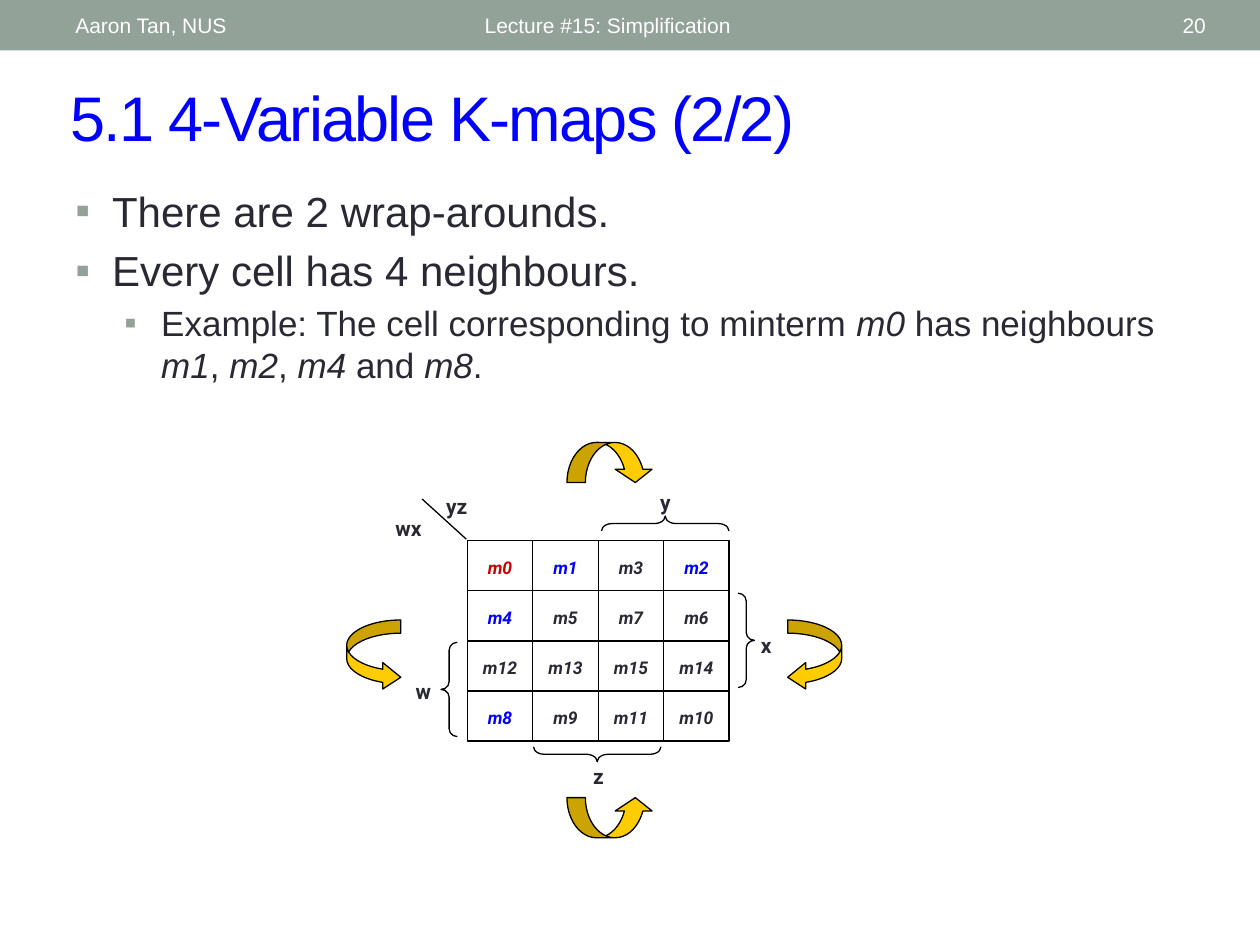
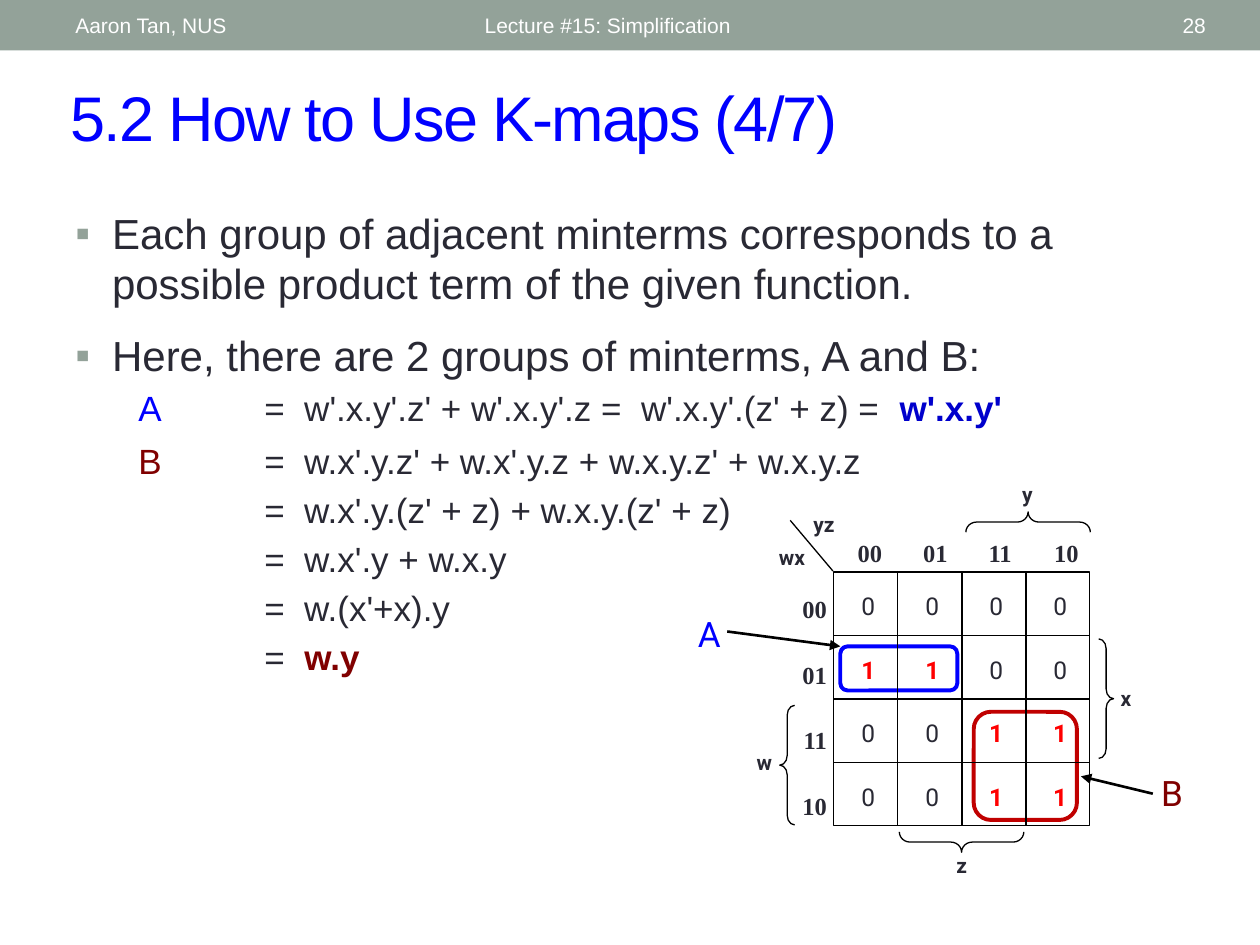
import pptx
import pptx.util
import pptx.dml.color
import pptx.enum.shapes
import pptx.enum.text
import pptx.oxml
import pptx.oxml.ns

Cm = pptx.util.Cm
Pt = pptx.util.Pt
RGB = pptx.dml.color.RGBColor
SHAPE = pptx.enum.shapes.MSO_SHAPE
ALIGN = pptx.enum.text.PP_ALIGN
MIDDLE = pptx.enum.text.MSO_ANCHOR.MIDDLE
qn = pptx.oxml.ns.qn

# Colours
SAGE = RGB(0x93, 0xA2, 0x99)
WHITE = RGB(0xFF, 0xFF, 0xFF)
BLACK = RGB(0, 0, 0)
INK = RGB(0x29, 0x29, 0x34)
BLUE = RGB(0, 0, 0xFF)
DEEP_BLUE = RGB(0, 0, 0xCC)
MAROON = RGB(0x80, 0, 0)
CRIMSON = RGB(0xC0, 0, 0)
DARK_RED = RGB(0xCC, 0, 0)
RED = RGB(0xFF, 0, 0)
GOLD = RGB(0xFF, 0xCC, 0)

# Text formats
TITLE = dict(name="Arial", size=Pt(36), color=BLUE)
HEADER = dict(name="Arial", size=Pt(12), color=WHITE)
BODY = dict(name="Arial", size=Pt(24), color=INK)
SUB = dict(BODY, size=Pt(20))
ITALIC = dict(SUB, italic=True)
LABEL = dict(name="Roboto", size=Pt(12), color=INK, bold=True)
MINTERM = dict(LABEL, size=Pt(10), italic=True)
ZERO = dict(name="Roboto", size=Pt(14), color=INK)
ONE = dict(ZERO, color=RED, bold=True)
CODE = dict(name="Times New Roman", size=Pt(14), color=INK, bold=True)
GROUP = dict(name="Roboto", size=Pt(20))


def add_xml(parent, tag, **attrs):
    """Append an empty drawing element and return it."""
    el = pptx.oxml.parse_xml(f"<a:{tag} {pptx.oxml.ns.nsdecls('a')}/>")
    for key, value in attrs.items():
        el.set(key, str(value))
    parent.append(el)
    return el


def add_runs(p, runs):
    for text, fmt in runs:
        r = p.add_run()
        r.text = text
        for key, value in fmt.items():
            if key == "color":
                r.font.color.rgb = value
            else:
                setattr(r.font, key, value)


def add_text(s, box, *paragraphs, anchor=None, **p_format):
    """Text box with one list of (text, format) runs per paragraph."""
    sp = s.shapes.add_textbox(*map(Cm, box))
    tf = sp.text_frame
    tf.word_wrap = True
    if anchor is not None:
        tf.vertical_anchor = anchor
    for i, runs in enumerate(paragraphs):
        p = tf.paragraphs[0] if i == 0 else tf.add_paragraph()
        for key, value in p_format.items():
            setattr(p, key, value)
        add_runs(p, runs)
    return tf


def add_label(s, box, text, fmt):
    add_text(s, box, [(text, fmt)], alignment=ALIGN.CENTER)


def add_shape(s, kind, box, fill=None, line=BLACK, width=0.75,
              adj=(), rotation=0, flip=None):
    sp = s.shapes.add_shape(kind, *map(Cm, box))
    sp.shadow.inherit = False
    sp.rotation = rotation
    for i, value in enumerate(adj):
        sp.adjustments[i] = value
    if fill is None:
        sp.fill.background()
    else:
        sp.fill.solid()
        sp.fill.fore_color.rgb = fill
    if line is None:
        sp.line.fill.background()
    else:
        sp.line.color.rgb = line
        sp.line.width = Pt(width)
    if flip:
        sp._element.spPr.find(qn("a:xfrm")).set(flip, "1")


def add_line(s, x1, y1, x2, y2, width=0.75, arrow=False):
    c = s.shapes.add_connector(pptx.enum.shapes.MSO_CONNECTOR.STRAIGHT,
                               Cm(x1), Cm(y1), Cm(x2), Cm(y2))
    c.line.color.rgb = BLACK
    c.line.width = Pt(width)
    if arrow:
        add_xml(c.line._get_or_add_ln(), "tailEnd", type="triangle")
    add_xml(c._element.spPr, "effectLst")


def add_frame(prs, title, number):
    """New slide with the header band, its three texts and the title."""
    s = prs.slides.add_slide(prs.slide_layouts[6])
    add_shape(s, SHAPE.RECTANGLE, (0, 0, 25.4, 1.02), fill=SAGE, line=None)
    for left, width, text, align in (
            (1.27, 8.05, "Aaron Tan, NUS", ALIGN.LEFT),
            (9.52, 11.43, "Lecture #15: Simplification", ALIGN.LEFT),
            (22.15, 2.41, number, ALIGN.RIGHT)):
        add_text(s, (left, 0.05, width, 0.91), [(text, HEADER)],
                 anchor=MIDDLE, alignment=align)
    tf = add_text(s, (1.17, 1.45, 23.04, 1.78), [(title, TITLE)],
                  anchor=MIDDLE)
    tf.paragraphs[0].runs[0].font._element.set("spc", "-100")
    return s


def add_body(s, box, items):
    """Body text; each item is (margin, indent, space before, bullet, runs)."""
    tf = add_text(s, box, *[item[-1] for item in items])
    for p, (margin, indent, before, bullet, _) in zip(tf.paragraphs, items):
        p.space_before = Pt(before)
        pPr = p._p.get_or_add_pPr()
        pPr.set("marL", str(Cm(margin)))
        pPr.set("indent", str(Cm(indent)))
        if bullet:
            add_xml(add_xml(pPr, "buClr"), "srgbClr", val=SAGE)
            add_xml(pPr, "buFont", typeface="Arial")
            add_xml(pPr, "buChar", char="▪")
        else:
            add_xml(pPr, "buNone")


def bullet(before, *runs):
    return 0.74, -0.74, before, True, runs


def equation(before, *runs):
    return 3.81, -2.54, before, False, runs


def add_grid(s, left, top, cell_w, cell_h, rows, offset, text_h):
    """Ruled 4 by 4 map; rows hold (text, format) per cell."""
    n = len(rows)
    right, bottom = left + n * cell_w, top + n * cell_h
    add_shape(s, SHAPE.RECTANGLE, (left, top, n * cell_w, n * cell_h))
    for i in range(1, n):
        x, y = left + i * cell_w, top + i * cell_h
        add_line(s, left, y, right, y)
        add_line(s, x, top, x, bottom)
    dx, dy = offset
    for i, row in enumerate(rows):
        for j, (text, fmt) in enumerate(row):
            box = left + j * cell_w + dx, top + i * cell_h + dy, cell_w, text_h
            add_label(s, box, text, fmt)


def add_variables(s, braces, corner, wx_box, yz_box):
    """Braces named w, x, y, z, and the axis names on the corner line."""
    turns = {"w": (0, None), "x": (0, "flipH"),
             "y": (90, None), "z": (270, None)}
    for name, (box, adj, label_box) in braces.items():
        rotation, flip = turns[name]
        add_shape(s, SHAPE.LEFT_BRACE, box, adj=(adj, 0.5),
                  rotation=rotation, flip=flip)
        add_label(s, label_box, name, LABEL)
    add_line(s, *corner)
    add_label(s, wx_box, "wx", LABEL)
    add_label(s, yz_box, "yz", LABEL)


def build_wraparounds(prs):
    s = add_frame(prs, "5.1 4-Variable K-maps (2/2)", "20")
    example = [("Example: The cell corresponding to minterm ", SUB),
               ("m0", ITALIC), (" has neighbours ", SUB), ("m1", ITALIC),
               (", ", SUB), ("m2", ITALIC), (", ", SUB), ("m4", ITALIC),
               (" and ", SUB), ("m8", ITALIC), (".", SUB)]
    add_body(s, (1.27, 3.61, 22.86, 4.98), [
        bullet(5, ("There are 2 wrap-arounds.", BODY)),
        bullet(5, ("Every cell has 4 neighbours.", BODY)),
        (1.73, -0.74, 4, True, example)])

    # Map of minterm numbers, m0 and its neighbours coloured
    colours = {0: DARK_RED, 1: BLUE, 2: BLUE, 4: BLUE, 8: BLUE}
    gray = (0, 1, 3, 2)
    rows = [[(f"m{4 * i + j}", dict(MINTERM, color=colours.get(4 * i + j, INK)))
             for j in gray] for i in gray]
    add_grid(s, 9.42, 10.9, 1.32, 1.01, rows, (0, 0.2), 0.81)
    add_variables(s, {
        "w": ((8.89, 12.95, 0.33, 1.9), 0.475, (8.05, 13.56, 0.97, 0.81)),
        "x": ((14.88, 11.96, 0.33, 1.9), 0.475, (14.96, 12.62, 0.97, 0.81)),
        "y": ((13.26, 9.27, 0.3, 2.57), 0.72, (12.93, 9.75, 0.97, 0.64)),
        "z": ((11.89, 13.92, 0.3, 2.57), 0.73, (11.58, 15.27, 0.97, 0.61)),
    }, (9.4, 10.87, 8.51, 10.06), (7.42, 10.26, 1.63, 0.74),
        (8.64, 9.83, 1.14, 0.64))

    # Wrap-around arrows
    side, over = (0.244, 0.488, 0.333), (0.459, 0.918, 0.333)
    for kind, box, adj, flip in (
            (SHAPE.CURVED_RIGHT_ARROW, (6.99, 12.5, 1.09, 1.42), side, None),
            (SHAPE.CURVED_RIGHT_ARROW, (15.88, 12.5, 1.09, 1.42), side, "flipH"),
            (SHAPE.CURVED_UP_ARROW, (11.43, 16.08, 1.75, 0.81), over, None),
            (SHAPE.CURVED_UP_ARROW, (11.43, 8.92, 1.75, 0.81), over, "flipV")):
        add_shape(s, kind, box, fill=GOLD, adj=adj, flip=flip)


def build_groups(prs):
    s = add_frame(prs, "5.2 How to Use K-maps (4/7)", "28")
    add_body(s, (1.27, 4.06, 22.86, 10.95), [
        bullet(5, ("Each group of adjacent minterms corresponds to a "
                   "possible product term of the given function.", BODY)),
        bullet(12, ("Here, there are 2 groups of minterms, A and B:", BODY)),
        equation(4, ("A", dict(SUB, color=BLUE)),
                 ("\t=  w'.x.y'.z' + w'.x.y'.z =  w'.x.y'.(z' + z) =  ", SUB),
                 ("w'.x.y'", dict(SUB, color=DEEP_BLUE, bold=True))),
        equation(6, ("B", dict(SUB, color=MAROON)),
                 ("\t=  w.x'.y.z' + w.x'.y.z + w.x.y.z' + w.x.y.z", SUB)),
        equation(4, ("\t=  w.x'.y.(z' + z) + w.x.y.(z' + z)", SUB)),
        equation(4, ("\t=  w.x'.y + w.x.y", SUB)),
        equation(4, ("\t=  w.(x'+x).y", SUB)),
        equation(4, ("\t=  ", SUB),
                 ("w.y", dict(SUB, color=MAROON, bold=True)))])

    # Outlined groups, each with its letter and arrow
    for name, colour, line, box, label_at, arrow in (
            ("A", BLUE, BLUE, (16.94, 13.03, 2.36, 0.89), (13.82, 12.22),
             (14.66, 12.73, 16.94, 13.03)),
            ("B", MAROON, CRIMSON, (19.63, 14.35, 2.08, 2.18), (23.16, 15.42),
             (23.24, 16, 21.79, 15.65))):
        add_shape(s, SHAPE.FLOWCHART_ALTERNATE_PROCESS, box,
                  line=line, width=2.25)
        add_label(s, (*label_at, 0.86, 1.27), name, dict(GROUP, color=colour))
        add_line(s, *arrow, width=1.5, arrow=True)

    # Map of function values
    rows = [[(bit, ONE if bit == "1" else ZERO) for bit in row]
            for row in ("0000", "1100", "0011", "0011")]
    add_grid(s, 16.81, 11.53, 1.29, 1.28, rows, (0.05, 0.26), 1.02)
    add_variables(s, {
        "w": ((15.72, 14.22, 0.3, 2.41), 0.65, (14.94, 14.99, 0.94, 1.02)),
        "x": ((22.15, 12.88, 0.3, 2.41), 0.65, (22.23, 13.69, 0.94, 1.02)),
        "y": ((20.52, 9.27, 0.41, 2.51), 0.53, (20.24, 9.58, 0.94, 0.76)),
        "z": ((19.18, 15.72, 0.41, 2.51), 0.53, (18.92, 17.07, 0.94, 0.76)),
    }, (16.79, 11.51, 15.93, 10.49), (15.29, 10.85, 1.35, 0.91),
        (16.05, 10.19, 1.12, 0.81))

    # Row and column codes
    codes = ("00", "01", "11", "10")
    tf = add_text(s, (15.52, 11.79, 1.4, 5.31), *[[(c, CODE)] for c in codes],
                  alignment=ALIGN.RIGHT, line_spacing=1.1)
    for p in tf.paragraphs[1:]:
        p.space_before = Pt(19)
    tf = add_text(s, (17.04, 10.72, 5.26, 1.02), [("\t".join(codes), CODE)])
    tabs = add_xml(tf.paragraphs[0]._p.get_or_add_pPr(), "tabLst")
    for i in range(1, len(codes)):
        add_xml(tabs, "tab", pos=Cm(1.32 * i), algn="l")


def main():
    prs = pptx.Presentation()
    prs.slide_width, prs.slide_height = Cm(25.4), Cm(19.05)
    build_wraparounds(prs)
    build_groups(prs)
    prs.save("out.pptx")


main()
